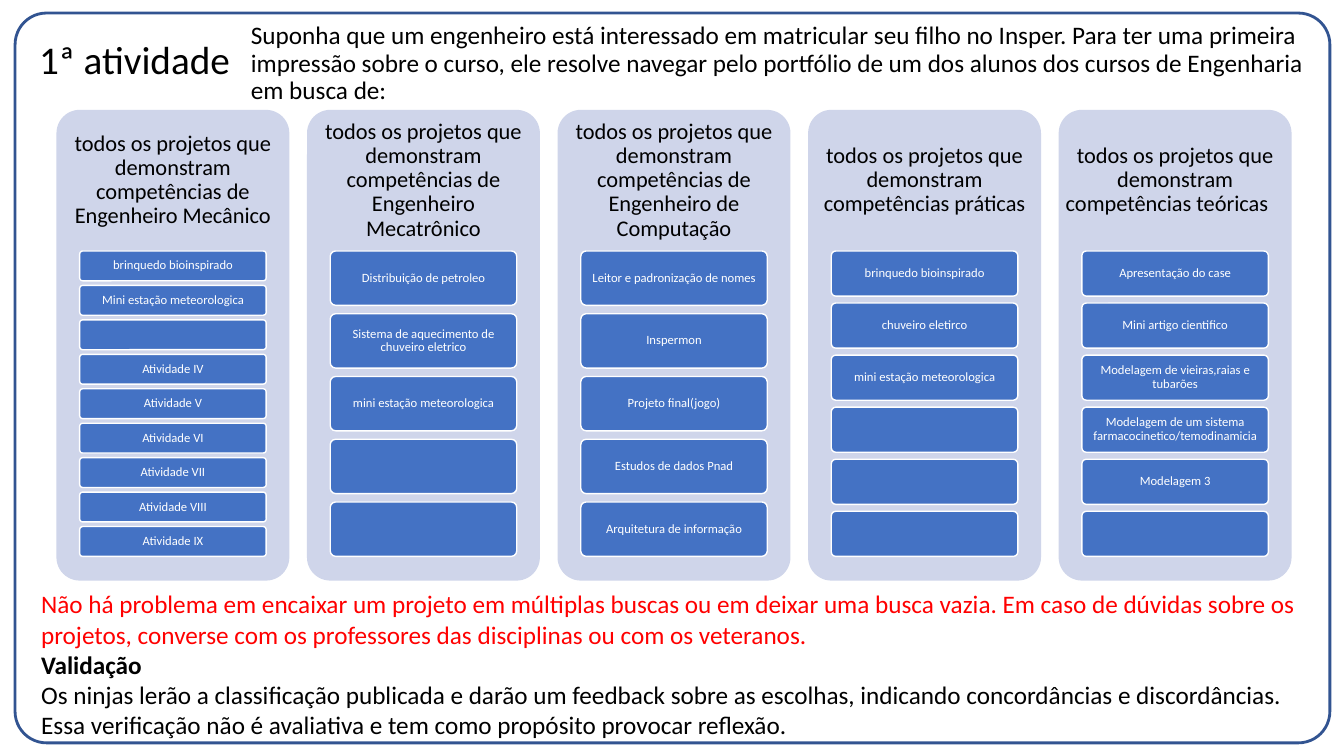
from pptx import Presentation
from pptx.dml.color import RGBColor
from pptx.enum.shapes import MSO_SHAPE
from pptx.enum.text import MSO_ANCHOR, PP_ALIGN
from pptx.util import Inches, Pt

ROUND = MSO_SHAPE.ROUNDED_RECTANGLE
MIDDLE, TOP = MSO_ANCHOR.MIDDLE, MSO_ANCHOR.TOP
CENTER, LEFT = PP_ALIGN.CENTER, PP_ALIGN.LEFT

COLORS = {
    "frame": "325491",
    "panel": "CFD5EA",
    "bar": "4472C4",
    "white": "FFFFFF",
    "black": "000000",
    "red": "FF0000",
}

LEAD = "todos os projetos que demonstram competências "
SEARCHES = [
    ("de Engenheiro Mecânico",
     ["brinquedo bioinspirado", "Mini estação meteorologica", "",
      "Atividade IV", "Atividade V", "Atividade VI", "Atividade VII",
      "Atividade VIII", "Atividade IX"]),
    ("de Engenheiro Mecatrônico",
     ["Distribuição de petroleo",
      "Sistema de aquecimento de chuveiro eletrico",
      "mini estação meteorologica", "", ""]),
    ("de Engenheiro de Computação",
     ["Leitor e padronização de nomes", "Inspermon", "Projeto final(jogo)",
      "Estudos de dados Pnad", "Arquitetura de informação"]),
    ("práticas",
     ["brinquedo bioinspirado", "chuveiro eletirco",
      "mini estação meteorologica", "", "", ""]),
    ("teóricas\t",
     ["Apresentação do case", "Mini artigo cientifico",
      "Modelagem de vieiras,raias e tubarões",
      "Modelagem de um sistema farmacocinetico/temodinamicia",
      "Modelagem 3", ""]),
]

INTRO = ("Suponha que um engenheiro está interessado em matricular seu filho "
         "no Insper. Para ter uma primeira impressão sobre o curso, ele "
         "resolve navegar pelo portfólio de um dos alunos dos cursos de "
         "Engenharia em busca de:")
NOTES = [
    ("Não há problema em encaixar um projeto em múltiplas buscas ou em deixar "
     "uma busca vazia. Em caso de dúvidas sobre os projetos, converse com os "
     "professores das disciplinas ou com os veteranos.", "red", False),
    ("Validação", "black", True),
    ("Os ninjas lerão a classificação publicada e darão um feedback sobre as "
     "escolhas, indicando concordâncias e discordâncias. Essa verificação não "
     "é avaliativa e tem como propósito provocar reflexão.", "black", False),
]


class Board:
    """Hold the style and the current slide and draw each kind of element."""

    font = "Calibri"

    def __init__(self, slide):
        self.slide = slide

    def color(self, name):
        return RGBColor.from_string(COLORS[name])

    def label(self, shape, lines, size, pad, anchor, align, space):
        frame = shape.text_frame
        frame.word_wrap = True
        frame.vertical_anchor = anchor
        (frame.margin_left, frame.margin_top,
         frame.margin_right, frame.margin_bottom) = map(Inches, pad)
        frame.text = "\n".join(line[0] for line in lines)
        for para, (_, color, bold) in zip(frame.paragraphs, lines):
            para.alignment = align
            para.line_spacing = space
            for run in para.runs:
                run.font.name = self.font
                run.font.size = Pt(size)
                run.font.bold = bold
                run.font.color.rgb = self.color(color)

    def text(self, area, lines, size, pad=(0.1, 0.05, 0.1, 0.05),
             anchor=TOP, align=LEFT, space=0.9):
        box = self.slide.shapes.add_textbox(*map(Inches, area))
        self.label(box, lines, size, pad, anchor, align, space)

    def block(self, area, bend, fill=None, line=None, width=1):
        shape = self.slide.shapes.add_shape(ROUND, *map(Inches, area))
        shape.adjustments[0] = bend
        shape.shadow.inherit = False
        if fill:
            shape.fill.solid()
            shape.fill.fore_color.rgb = self.color(fill)
        else:
            shape.fill.background()
        if line:
            shape.line.color.rgb = self.color(line)
            shape.line.width = Pt(width)
        else:
            shape.line.fill.background()
        return shape

    def bar(self, area, name):
        shape = self.block(area, 0.1, "bar", "white")
        if name:
            self.label(shape, [(name, "white", False)], 9,
                       (0.03, 0.02, 0.03, 0.02), MIDDLE, CENTER, 0.9)

    def column(self, left, head, names):
        top, width, stack, ratio = 1.09, 2.31, 3.03, 0.154
        self.block((left, top, width, 4.67), 0.1, "panel")
        self.text((left, top, width, 1.4), [(head, "black", False)], 16,
                  (0.07,) * 4, MIDDLE, CENTER)
        count = len(names)
        height = stack / (count + (count - 1) * ratio)
        for row, name in enumerate(names):
            y = top + 1.4 + row * height * (1 + ratio)
            self.bar((left + 0.23, y, 1.85, height), name)


def main():
    deck = Presentation()
    deck.slide_width, deck.slide_height = Inches(13.33), Inches(7.5)
    board = Board(deck.slides.add_slide(deck.slide_layouts[6]))
    board.block((0.15, 0.13, 13.04, 7.24), 0.043, line="frame", width=2)
    board.text((0.29, 0.11, 2.1, 1), [("1ª atividade", "black", False)], 28,
               (0.1, 0.05, 0, 0.05), MIDDLE)
    board.text((2.39, 0.18, 10.78, 0.9), [(INTRO, "black", False)], 18)
    for index, (end, names) in enumerate(SEARCHES):
        board.column(0.56 + index * 2.485, LEAD + end, names)
    board.text((0.31, 5.79, 12.86, 1.62), NOTES, 18, space=1.0)
    deck.save("out.pptx")


if __name__ == "__main__":
    main()
